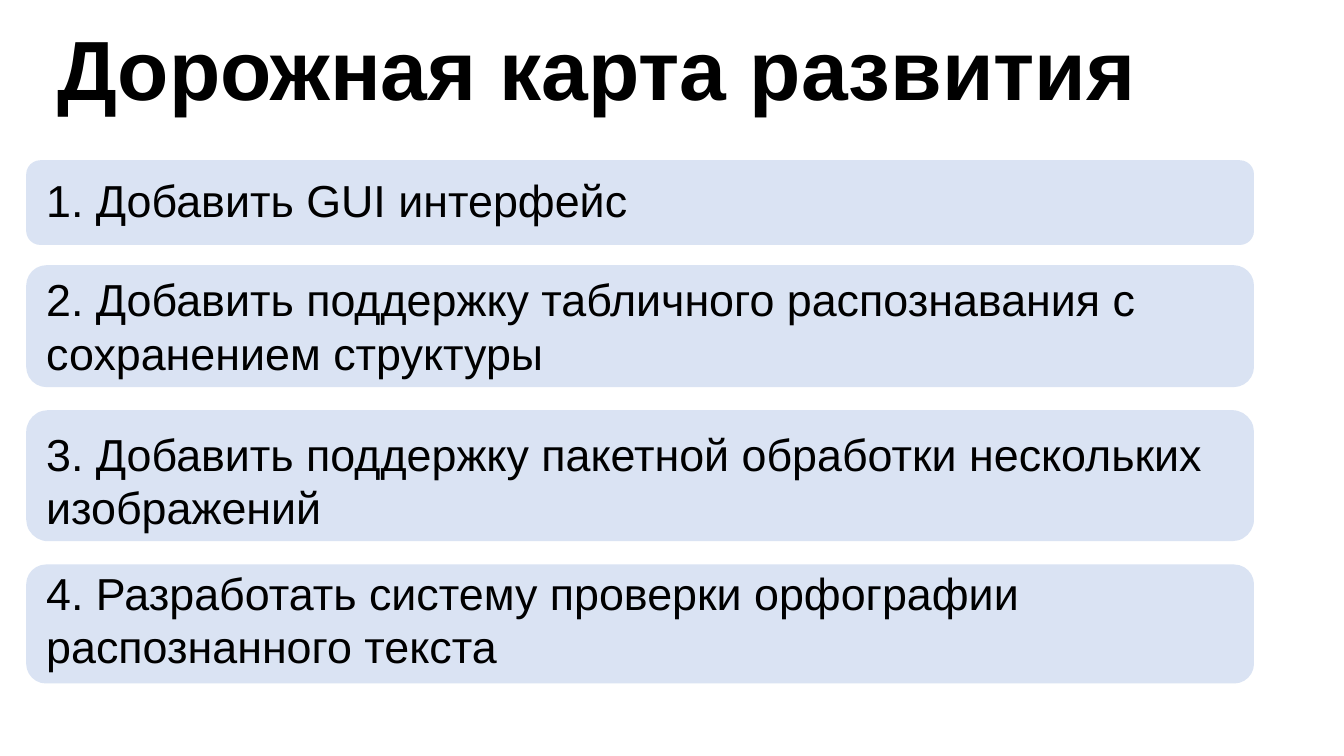
from pptx import Presentation
from pptx.dml.color import RGBColor
from pptx.enum.shapes import MSO_SHAPE
from pptx.util import Pt


def color(hex_string):
    return RGBColor.from_string(hex_string)


def add_text(text, left, top, width, height, size=32, bold=False):
    box = slide.shapes.add_textbox(Pt(left), Pt(top), Pt(width), Pt(height))
    box.text_frame.word_wrap = True
    run = box.text_frame.paragraphs[0].add_run()
    run.text = text
    run.font.name = "Arial"
    run.font.size = Pt(size)
    run.font.bold = bold
    run.font.color.rgb = color("000000")


presentation = Presentation()
presentation.slide_width = Pt(960)
presentation.slide_height = Pt(540)
slide = presentation.slides.add_slide(presentation.slide_layouts[6])

add_text("Дорожная карта развития", 33.8, 8.6, 1009.4, 80, size=60, bold=True)

roadmap = [
    ("1. Добавить GUI интерфейс", 114.5, 60.5, 119.5, 522, 46),
    ("2. Добавить поддержку табличного распознавания с сохранением структуры",
     189.4, 87.1, 190.8, 951, 85),
    ("3. Добавить поддержку пакетной обработки нескольких изображений",
     293, 93.6, 301, 967.7, 128),
    ("4. Разработать систему проверки орфографии распознанного текста",
     403.2, 85, 400.3, 906.5, 85),
]
for text, card_top, card_height, text_top, text_width, text_height in roadmap:
    card = slide.shapes.add_shape(
        MSO_SHAPE.ROUNDED_RECTANGLE, Pt(18.7), Pt(card_top), Pt(877), Pt(card_height))
    card.shadow.inherit = False
    card.fill.solid()
    card.fill.fore_color.rgb = color("DAE3F3")
    card.line.fill.background()
    add_text(text, 25.9, text_top, text_width, text_height)

presentation.save("out.pptx")
